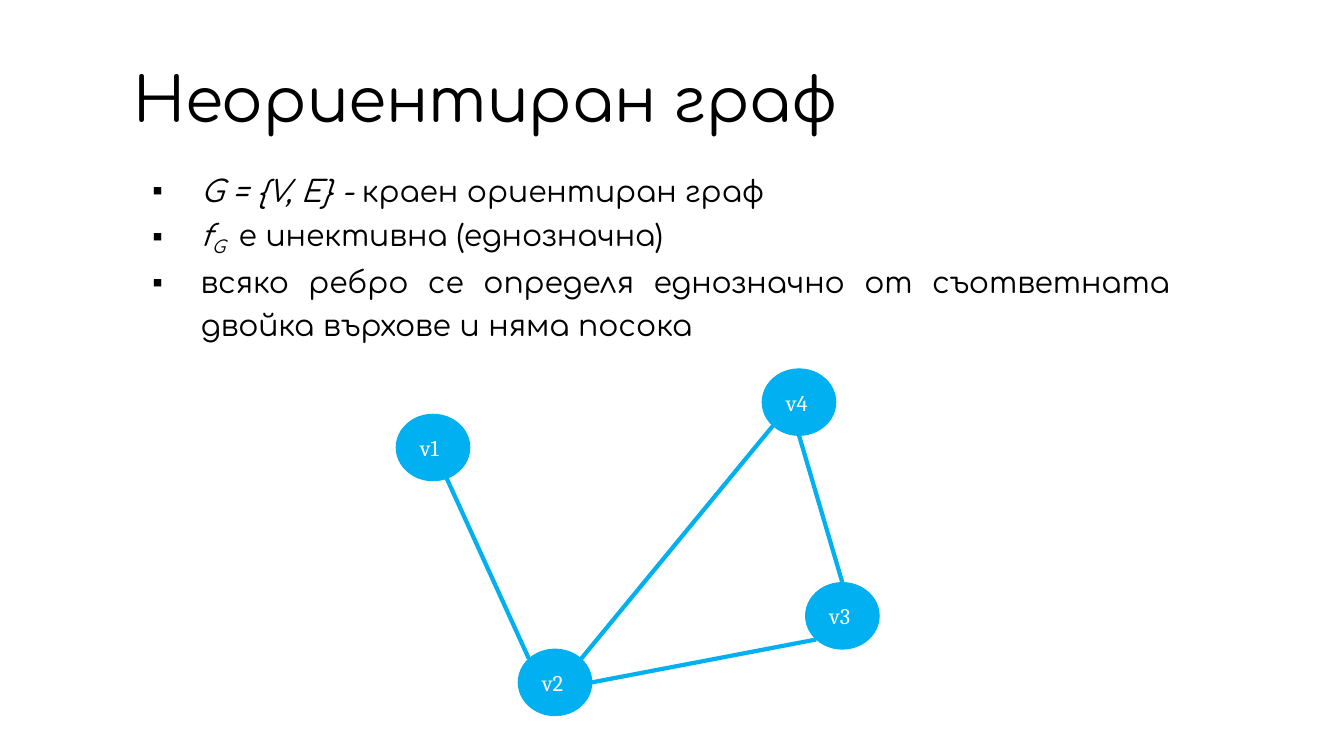
from lxml import etree
from pptx import Presentation
from pptx.dml.color import RGBColor
from pptx.enum import shapes, text
from pptx.oxml import ns
from pptx.util import Inches, Pt

BLACK = RGBColor(0, 0, 0)
WHITE = RGBColor(255, 255, 255)
BLUE = RGBColor(0x00, 0xB0, 0xF0)
TEXT_FONT, LABEL_FONT = "Comfortaa", "Cambria"

TITLE = "Неориентиран граф"
BULLETS = [
    [("G = {V, E} - ", "italic"), ("краен ориентиран граф", "plain")],
    [("f", "italic"), ("G ", "subscript"), (" е инективна (еднозначна)", "plain")],
    [("всяко ребро се определя еднозначно от съответната двойка върхове и няма посока", "plain")],
]
NODE_WIDTH, NODE_HEIGHT = 0.73, 0.66
NODES = {"v1": (3.93, 4.11), "v2": (5.14, 6.44), "v3": (7.99, 5.78), "v4": (7.56, 3.66)}
DIAGONAL = 0.71
EDGES = [
    ("v1", (0.29, 0.73), "v2", (-DIAGONAL, -DIAGONAL)),
    ("v2", (1, 0), "v3", (-DIAGONAL, DIAGONAL)),
    ("v3", (0, -1), "v4", (0, 1)),
    ("v2", (DIAGONAL, -DIAGONAL), "v4", (-DIAGONAL, DIAGONAL)),
]


def place(box, left, top, width, height):
    box.left, box.top = Inches(left), Inches(top)
    box.width, box.height = Inches(width), Inches(height)


def set_frame(frame, anchor, side, edge):
    frame.word_wrap = True
    frame.auto_size = text.MSO_AUTO_SIZE.NONE
    frame.vertical_anchor = anchor
    frame.margin_left = frame.margin_right = Inches(side)
    frame.margin_top = frame.margin_bottom = Inches(edge)


def add_span(para, words, font, size, color):
    span = para.add_run()
    span.text = words
    span.font.name, span.font.size = font, Pt(size)
    span.font.color.rgb = color
    return span


def add_bullet(para):
    props = para._p.get_or_add_pPr()
    props.set("marL", str(Inches(0.67)))
    props.set("indent", str(Inches(-0.48)))
    color = etree.SubElement(props, ns.qn("a:buClr"))
    etree.SubElement(color, ns.qn("a:srgbClr")).set("val", str(BLACK))
    etree.SubElement(props, ns.qn("a:buFont")).set("typeface", "Arial")
    etree.SubElement(props, ns.qn("a:buChar")).set("char", "▪")


def rim_point(name, direction):
    return [
        Inches(start + size / 2 * (1 + step))
        for start, size, step in zip(NODES[name], (NODE_WIDTH, NODE_HEIGHT), direction)
    ]


def add_text(page):
    title, body = page.shapes.title, page.placeholders[1]
    place(title, 1.2, 0.6, 11.16, 0.84)
    set_frame(title.text_frame, text.MSO_ANCHOR.MIDDLE, 0.12, 0.04)
    para = title.text_frame.paragraphs[0]
    para.alignment, para.line_spacing = text.PP_ALIGN.LEFT, 0.9
    add_span(para, TITLE, TEXT_FONT, 44, BLACK)

    place(body, 1.2, 1.6, 10.53, 3.28)
    frame = body.text_frame
    set_frame(frame, text.MSO_ANCHOR.TOP, 0.12, 0.04)
    for index, bullet in enumerate(BULLETS):
        para = frame.add_paragraph() if index else frame.paragraphs[0]
        add_bullet(para)
        para.alignment, para.line_spacing = text.PP_ALIGN.JUSTIFY, 1.2
        para.space_before = Pt(0)
        for words, style in bullet:
            span = add_span(para, words, TEXT_FONT, 21.3, BLACK)
            span.font.italic = style != "plain"
            if style == "subscript":
                span._r.get_or_add_rPr().set("baseline", "-25000")


def add_graph(page):
    for name, (left, top) in NODES.items():
        node = page.shapes.add_shape(
            shapes.MSO_SHAPE.OVAL, Inches(left), Inches(top), Inches(NODE_WIDTH), Inches(NODE_HEIGHT)
        )
        node.shadow.inherit = False
        node.fill.solid()
        node.fill.fore_color.rgb = node.line.color.rgb = BLUE
        node.line.width = Pt(0.75)
        set_frame(node.text_frame, text.MSO_ANCHOR.MIDDLE, 0.13, 0.13)
        para = node.text_frame.paragraphs[0]
        para.alignment = text.PP_ALIGN.LEFT
        add_span(para, name, LABEL_FONT, 16, WHITE)

    for source, leaving, target, arriving in EDGES:
        edge = page.shapes.add_connector(
            shapes.MSO_CONNECTOR.STRAIGHT, *rim_point(source, leaving), *rim_point(target, arriving)
        )
        edge.line.color.rgb, edge.line.width = BLUE, Pt(3)
        etree.SubElement(edge._element.spPr, ns.qn("a:effectLst"))


def main():
    deck = Presentation()
    deck.slide_width, deck.slide_height = Inches(13.33), Inches(7.5)
    page = deck.slides.add_slide(deck.slide_layouts[1])
    page.background.fill.solid()
    page.background.fill.fore_color.rgb = WHITE
    add_text(page)
    add_graph(page)
    deck.save("out.pptx")


if __name__ == "__main__":
    main()
